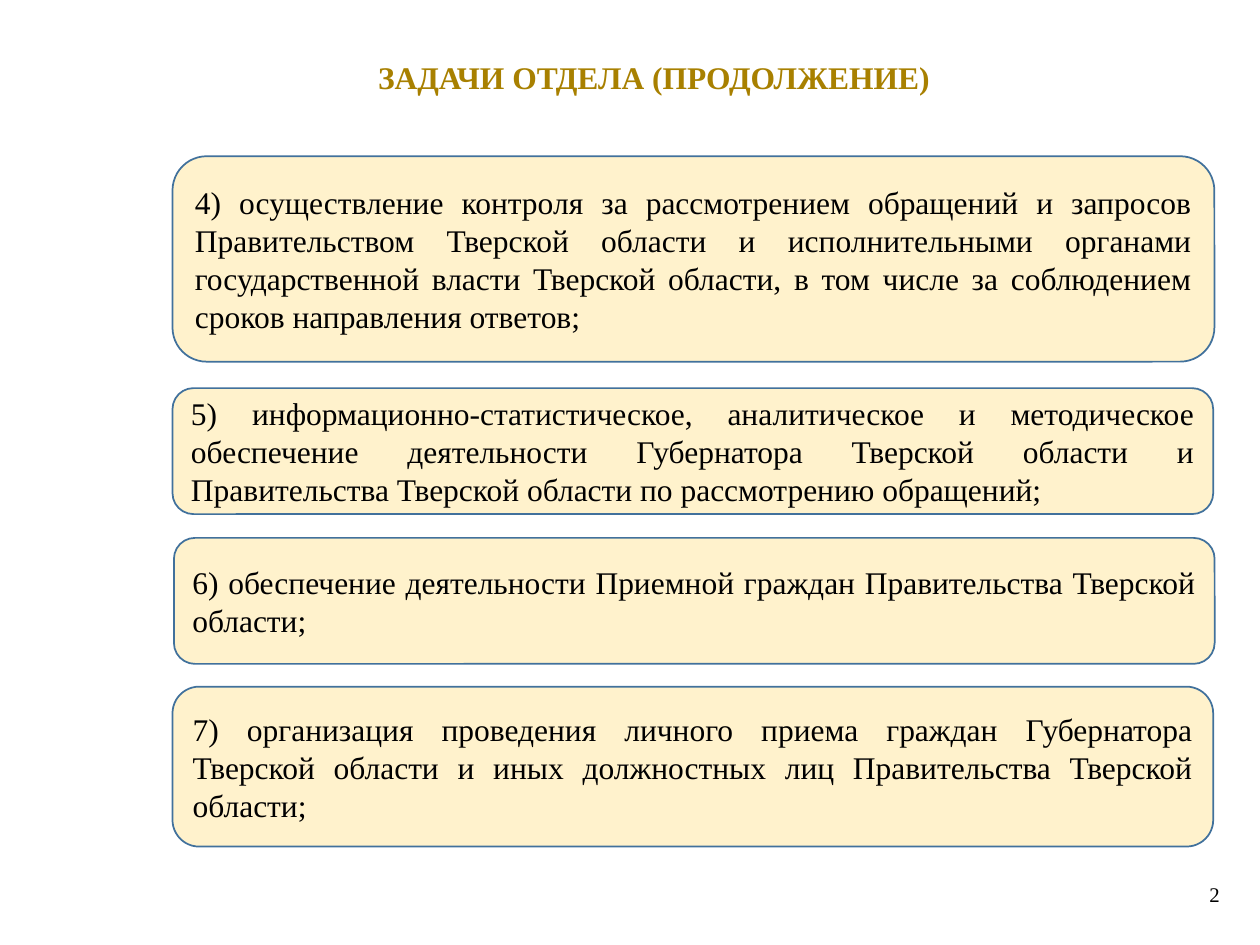
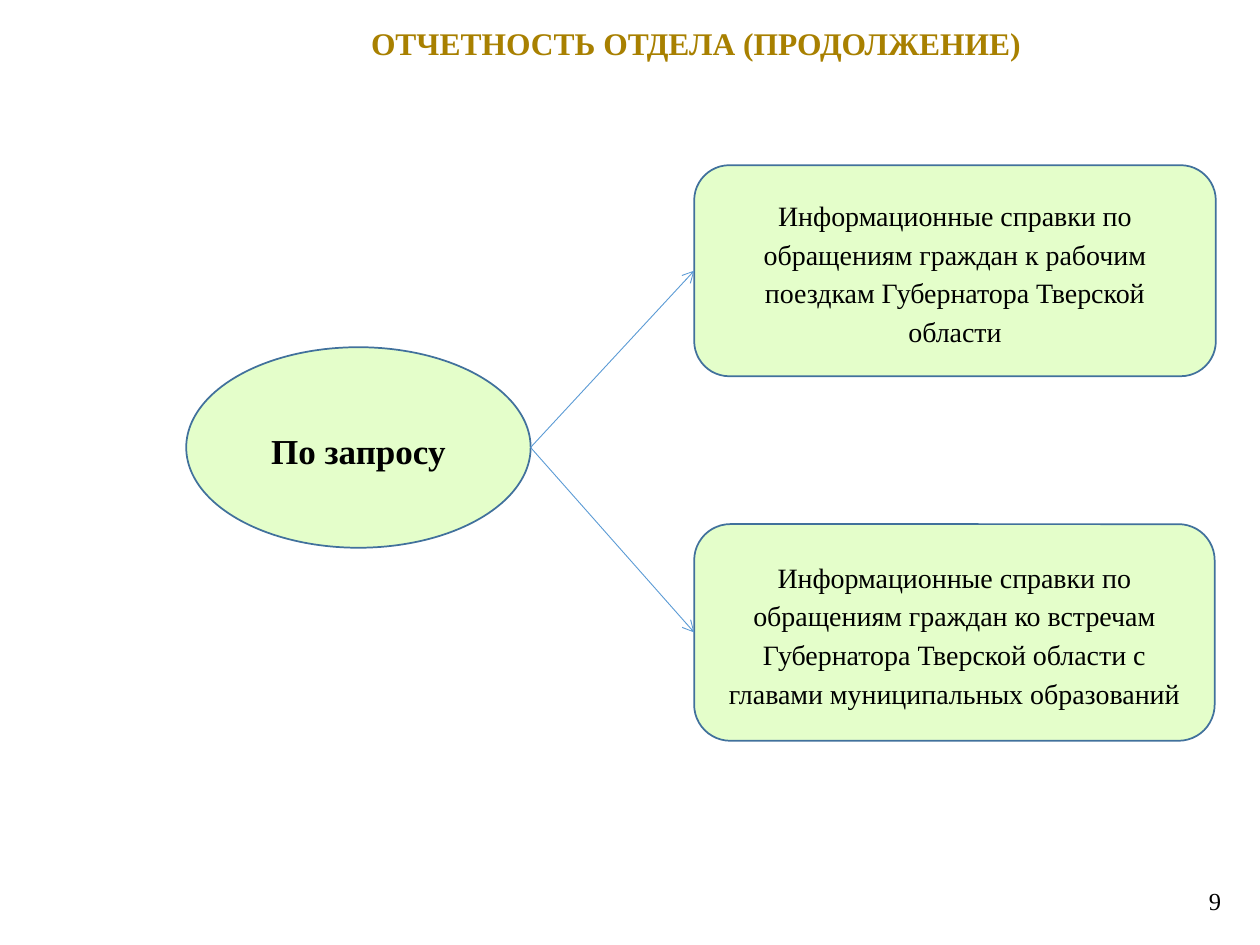
from dataclasses import dataclass

from lxml import etree
from pptx import Presentation
from pptx.dml.color import RGBColor
from pptx.enum import shapes, text
from pptx.oxml import ns
from pptx.util import Pt


@dataclass(frozen=True)
class Theme:
    font: str = "Times New Roman"
    ink: RGBColor = RGBColor.from_string("000000")
    heading: RGBColor = RGBColor.from_string("A88000")
    task_fill: RGBColor = RGBColor.from_string("FFF2CC")
    report_fill: RGBColor = RGBColor.from_string("E4FECA")
    outline: RGBColor = RGBColor.from_string("41719C")
    arrow: RGBColor = RGBColor.from_string("5B9BD5")
    title_size: float = 18
    task_size: float = 18
    report_size: float = 16
    source_size: float = 20


@dataclass(frozen=True)
class Frame:
    left: float
    top: float
    width: float
    height: float

    def lengths(self) -> tuple:
        return Pt(self.left), Pt(self.top), Pt(self.width), Pt(self.height)


@dataclass(frozen=True)
class Style:
    fill: RGBColor
    size: float
    align: text.PP_ALIGN
    spacing: float = 1.0
    bold: bool = False
    kind: shapes.MSO_SHAPE = shapes.MSO_SHAPE.ROUNDED_RECTANGLE


@dataclass(frozen=True)
class Card:
    frame: Frame
    words: str


THEME = Theme()
TASK = Style(THEME.task_fill, THEME.task_size, text.PP_ALIGN.JUSTIFY)
REPORT = Style(THEME.report_fill, THEME.report_size, text.PP_ALIGN.CENTER, 1.15)
SOURCE = Style(THEME.report_fill, THEME.source_size, text.PP_ALIGN.CENTER, 1.15,
               True, shapes.MSO_SHAPE.OVAL)

TASKS = [
    Card(Frame(98.6, 89.3, 595.4, 117.4),
         "4) осуществление контроля за рассмотрением обращений и запросов "
         "Правительством Тверской области и исполнительными органами "
         "государственной власти Тверской области, в том числе за соблюдением "
         "сроков направления ответов;"),
    Card(Frame(98.6, 221.8, 594.7, 72),
         "5) информационно-статистическое, аналитическое и методическое "
         "обеспечение деятельности Губернатора Тверской области и "
         "Правительства Тверской области по рассмотрению обращений;"),
    Card(Frame(99.4, 307.4, 594.7, 72),
         "6) обеспечение деятельности Приемной граждан Правительства Тверской "
         "области;"),
    Card(Frame(98.6, 392.4, 594.7, 91.4),
         "7) организация проведения личного приема граждан Губернатора "
         "Тверской области и иных должностных лиц Правительства Тверской "
         "области;"),
]

REQUEST = Card(Frame(106.4, 198.4, 196.8, 114.6), "По запросу")
REPORTS = [
    Card(Frame(396.7, 94.4, 298.1, 120.6),
         "Информационные справки по обращениям граждан к рабочим поездкам "
         "Губернатора Тверской области"),
    Card(Frame(396.7, 299.5, 297.4, 123.8),
         "Информационные справки по обращениям граждан ко встречам "
         "Губернатора Тверской области с главами муниципальных образований"),
]


def write(frame, words: str, size: float, color: RGBColor,
          align: text.PP_ALIGN, anchor: text.MSO_ANCHOR,
          bold: bool = False, spacing: float = 1.0) -> None:
    frame.word_wrap = True
    frame.auto_size = text.MSO_AUTO_SIZE.NONE
    frame.vertical_anchor = anchor
    frame.text = words
    paragraph = frame.paragraphs[0]
    paragraph.alignment = align
    paragraph.line_spacing = spacing
    paragraph.font.name = THEME.font
    paragraph.font.size = Pt(size)
    paragraph.font.bold = bold
    paragraph.font.color.rgb = color


def add_slide(presentation, title: str, title_frame: Frame,
              title_align: text.PP_ALIGN, number: str, number_frame: Frame,
              number_size: float, number_spacing: float = 1.0):
    slide = presentation.slides.add_slide(presentation.slide_layouts[5])
    heading = slide.shapes.title
    heading.left, heading.top, heading.width, heading.height = title_frame.lengths()
    write(heading.text_frame, title, THEME.title_size, THEME.heading,
          title_align, text.MSO_ANCHOR.TOP, bold=True)
    box = slide.shapes.add_textbox(*number_frame.lengths())
    write(box.text_frame, number, number_size, THEME.ink, text.PP_ALIGN.RIGHT,
          text.MSO_ANCHOR.MIDDLE, spacing=number_spacing)
    return slide


def add_card(slide, card: Card, style: Style):
    shape = slide.shapes.add_shape(style.kind, *card.frame.lengths())
    shape.shadow.inherit = False
    shape.fill.solid()
    shape.fill.fore_color.rgb = style.fill
    shape.line.color.rgb = THEME.outline
    shape.line.width = Pt(1)
    write(shape.text_frame, card.words, style.size, THEME.ink, style.align,
          text.MSO_ANCHOR.MIDDLE, style.bold, style.spacing)
    return shape


def add_arrow(slide, source, target) -> None:
    middle = source.top + source.height // 2
    right = source.left + source.width
    arrow = slide.shapes.add_connector(shapes.MSO_CONNECTOR.STRAIGHT,
                                       right, middle, target.left, target.top)
    arrow.end_connect(target, 1)
    arrow.line.color.rgb = THEME.arrow
    arrow.line.width = Pt(0.5)
    properties = arrow.line._get_or_add_ln()
    etree.SubElement(properties, ns.qn("a:tailEnd"), type="arrow")
    etree.SubElement(properties.getparent(), ns.qn("a:effectLst"))


def build_tasks(presentation) -> None:
    slide = add_slide(presentation, "ЗАДАЧИ ОТДЕЛА (ПРОДОЛЖЕНИЕ)",
                      Frame(208.8, 29.5, 335.5, 28.8), text.PP_ALIGN.LEFT,
                      "2", Frame(674.6, 500.4, 29.5, 23), 11.9, 0.9)
    for card in TASKS:
        add_card(slide, card, TASK)


def build_reports(presentation) -> None:
    slide = add_slide(presentation, "ОТЧЕТНОСТЬ ОТДЕЛА (ПРОДОЛЖЕНИЕ)",
                      Frame(91.4, 10.1, 612.7, 50.4), text.PP_ALIGN.CENTER,
                      "9", Frame(675.4, 500.4, 29.5, 28.8), 14)
    request = add_card(slide, REQUEST, SOURCE)
    for card in REPORTS:
        add_arrow(slide, request, add_card(slide, card, REPORT))


def main() -> None:
    presentation = Presentation()
    presentation.slide_width = Pt(720)
    presentation.slide_height = Pt(540)
    build_tasks(presentation)
    build_reports(presentation)
    presentation.save("out.pptx")


if __name__ == "__main__":
    main()
